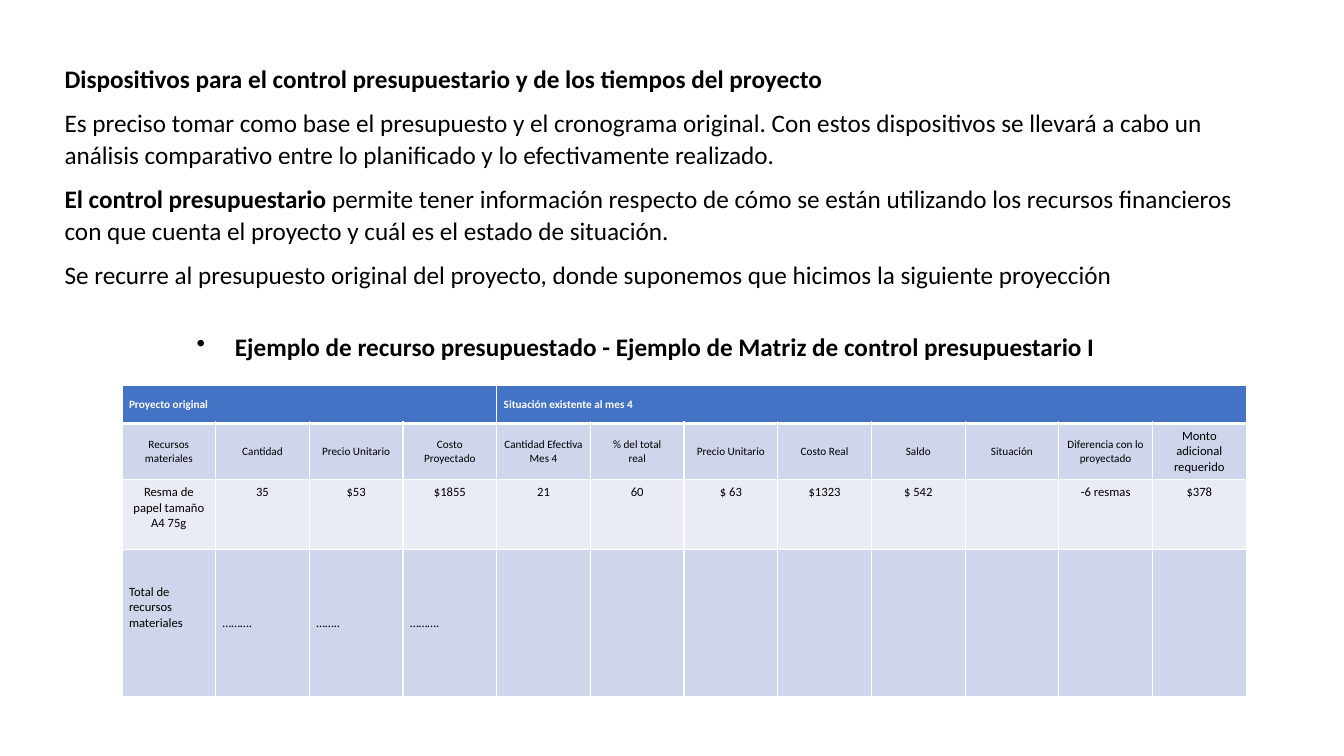
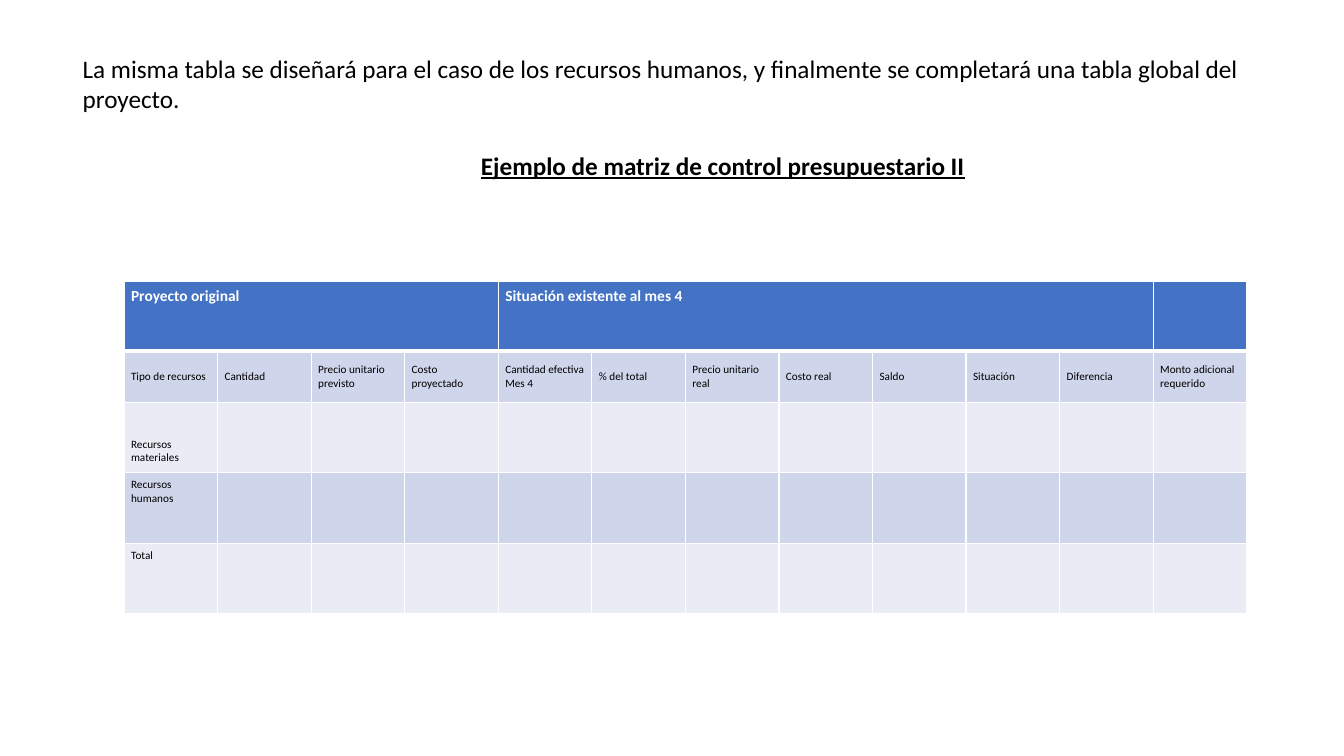
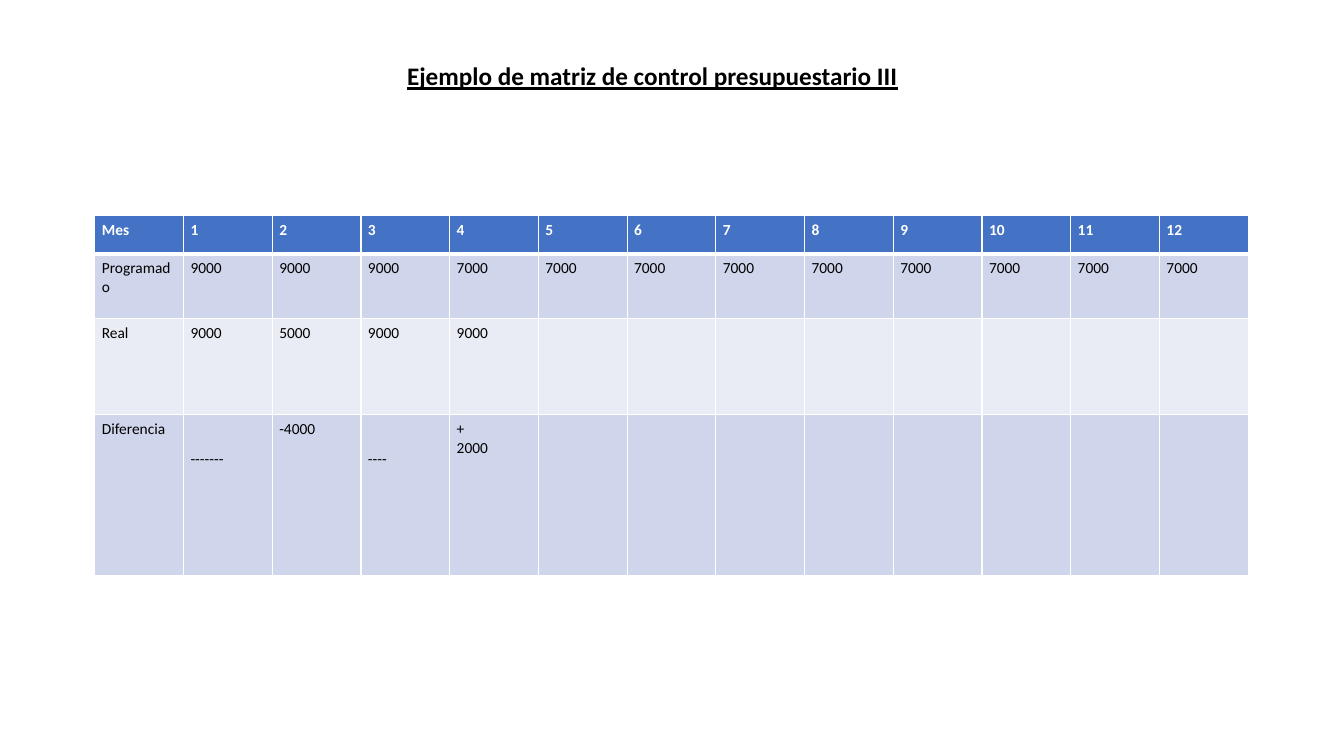
"""Build three slides on project budget control."""
import dataclasses

import pptx
import pptx.dml.color
import pptx.enum.text
import pptx.oxml.ns
import pptx.util
from lxml import etree

Inches = pptx.util.Inches
Pt = pptx.util.Pt
RGBColor = pptx.dml.color.RGBColor
PP_ALIGN = pptx.enum.text.PP_ALIGN
MSO_ANCHOR = pptx.enum.text.MSO_ANCHOR
qn = pptx.oxml.ns.qn

BLACK = RGBColor(0x00, 0x00, 0x00)
WHITE = RGBColor(0xFF, 0xFF, 0xFF)
BLUE = RGBColor(0x44, 0x72, 0xC4)
BAND = RGBColor(0xCF, 0xD5, 0xEA)
PALE = RGBColor(0xE9, 0xEB, 0xF5)

TITLE_AND_BODY, TITLE_ONLY = 1, 5


@dataclasses.dataclass
class Row:
    """One table row; dicts are keyed by column number."""
    height: float
    cells: dict
    size: float = 8
    align: PP_ALIGN = PP_ALIGN.LEFT
    anchor: MSO_ANCHOR = MSO_ANCHOR.TOP
    spans: dict = dataclasses.field(default_factory=dict)
    gaps: dict = dataclasses.field(default_factory=dict)
    sizes: dict = dataclasses.field(default_factory=dict)


def by_column(*texts):
    """Number texts from the first column on."""
    return dict(enumerate(texts))


class Deck:
    """Holds the shared style and the current slide."""
    font = "Calibri"
    text_size = 18
    line_spacing = 1.07

    def __init__(self):
        """Start a widescreen presentation."""
        self.prs = pptx.Presentation()
        self.prs.slide_width = Inches(13.33)
        self.prs.slide_height = Inches(7.5)
        self.slide = None

    def add_slide(self, layout):
        """Add a slide and make it current."""
        self.slide = self.prs.slides.add_slide(self.prs.slide_layouts[layout])

    def style(self, p, size, color=BLACK, bold=None):
        """Set the font of a paragraph."""
        p.font.name = self.font
        p.font.size = Pt(size)
        p.font.color.rgb = color
        p.font.bold = bold

    def place(self, sp, left, top, width, height):
        """Position a placeholder and return its text frame."""
        sp.left, sp.top = Inches(left), Inches(top)
        sp.width, sp.height = Inches(width), Inches(height)
        tf = sp.text_frame
        tf.word_wrap = True
        tf.auto_size = pptx.enum.text.MSO_AUTO_SIZE.NONE
        tf.vertical_anchor = MSO_ANCHOR.TOP
        return tf

    def title(self, text, left, top, width, bulleted=False):
        """Write the centred title, underlined or bulleted."""
        tf = self.place(self.slide.shapes.title, left, top, width, 0.41)
        tf.text = text
        p = tf.paragraphs[0]
        p.alignment = PP_ALIGN.CENTER
        p.line_spacing = self.line_spacing
        self.style(p, self.text_size, bold=True)
        p.font.underline = not bulleted
        if bulleted:
            pPr = p._p.get_or_add_pPr()
            pPr.set("marL", str(Inches(0.38)))
            pPr.set("indent", str(-Inches(0.38)))
            bullet = etree.Element(qn("a:buChar"), char="•")
            pPr.find(qn("a:defRPr")).addprevious(bullet)

    def body(self, paragraphs, left, top, width, height, line_spacing=1.0):
        """Write plain paragraphs, each a list of (text, bold) runs."""
        tf = self.place(self.slide.placeholders[1], left, top, width, height)
        for i, runs in enumerate(paragraphs):
            p = tf.add_paragraph() if i else tf.paragraphs[0]
            p.line_spacing = line_spacing
            p.space_before, p.space_after = Pt(0), Pt(8)
            self.style(p, self.text_size)
            for text, bold in runs:
                r = p.add_run()
                r.text = text
                r.font.bold = bold
            pPr = p._p.get_or_add_pPr()
            pPr.set("marL", "0")
            pPr.set("indent", "0")
            pPr.find(qn("a:defRPr")).addprevious(etree.Element(qn("a:buNone")))

    def border(self, cell, side, width):
        """Draw one white edge of a cell."""
        tcPr = cell._tc.get_or_add_tcPr()
        ln = etree.SubElement(tcPr, qn("a:ln" + side), w=str(Pt(width)))
        fill = etree.SubElement(ln, qn("a:solidFill"))
        etree.SubElement(fill, qn("a:srgbClr"), val=str(WHITE))

    def cell(self, cell, row, i, c):
        """Fill in one cell of row number i."""
        if not cell.is_spanned:
            for side in "LRTB":
                thick = (i, side) in ((0, "B"), (1, "T"))
                self.border(cell, side, 3 if thick else 1)
        cell.fill.solid()
        cell.fill.fore_color.rgb = (BAND if i % 2 else PALE) if i else BLUE
        cell.margin_left = cell.margin_right = Inches(0.07)
        cell.margin_top = Inches(row.gaps.get(c, 0.05))
        cell.margin_bottom = Inches(0.05)
        cell.vertical_anchor = row.anchor
        cell.text = row.cells.get(c, "")
        for p in cell.text_frame.paragraphs:
            p.alignment = row.align
            self.style(p, row.sizes.get(c, row.size),
                       BLACK if i else WHITE, bold=not i)

    def table(self, left, top, width, columns, rows):
        """Add a table with equal columns and banded rows."""
        height = sum(row.height for row in rows)
        table = self.slide.shapes.add_table(
            len(rows), columns, Inches(left), Inches(top),
            Inches(width), Inches(height)).table
        for column in table.columns:
            column.width = Inches(width / columns)
        for i, row in enumerate(rows):
            table.rows[i].height = Inches(row.height)
            for c, span in row.spans.items():
                table.cell(i, c).merge(table.cell(i, c + span - 1))
            for c in range(columns):
                self.cell(table.cell(i, c), row, i, c)


def resource_slide(deck):
    """Control devices and the first matrix."""
    deck.add_slide(TITLE_AND_BODY)
    deck.title("Ejemplo de recurso presupuestado - Ejemplo de Matriz de "
               "control presupuestario I", 0.7, 3.22, 11.41, bulleted=True)
    deck.body([
        [("Dispositivos para el control presupuestario y de los tiempos del "
          "proyecto", True)],
        [("Es preciso tomar como base el presupuesto y el cronograma original. "
          "Con estos dispositivos se llevará a cabo un análisis comparativo "
          "entre lo planificado y lo efectivamente realizado.", False)],
        [("El control presupuestario ", True),
         ("permite tener información respecto de cómo se están utilizando los "
          "recursos financieros con que cuenta el proyecto y cuál es el estado "
          "de situación.", False)],
        [("Se recurre al presupuesto original del proyecto, donde suponemos "
          "que hicimos la siguiente proyección", False)],
    ], 0.54, 0.56, 12.01, 2.36, deck.line_spacing)
    deck.table(1.21, 3.82, 11.15, 12, [
        Row(0.38, {0: "Proyecto original", 4: "Situación existente al mes 4"},
            anchor=MSO_ANCHOR.MIDDLE, spans={0: 4, 4: 8}),
        Row(0.56, by_column(
            "Recursos materiales", "Cantidad", "Precio Unitario",
            "Costo Proyectado", "Cantidad Efectiva\nMes 4",
            "% del total\nreal", "Precio Unitario", "Costo Real", "Saldo",
            "Situación", "Diferencia con lo proyectado",
            "Monto adicional requerido"),
            align=PP_ALIGN.CENTER, anchor=MSO_ANCHOR.MIDDLE, sizes={11: 9}),
        Row(0.69, by_column(
            "Resma de papel tamaño A4 75g", "35", "$53", "$1855", "21", "60",
            "$ 63", "$1323", "$ 542", "", "-6 resmas", "$378"),
            size=9, align=PP_ALIGN.CENTER),
        Row(1.46, by_column("Total de recursos\nmateriales",
                            "……….", "……..", "………."),
            size=9, gaps={0: 0.35, 1: 0.66, 2: 0.66, 3: 0.66}),
    ])


def global_slide(deck):
    """The second matrix, for the whole project."""
    deck.add_slide(TITLE_AND_BODY)
    deck.title("Ejemplo de matriz de control presupuestario II",
               1.72, 1.42, 10.9)
    deck.body([[("La misma tabla se diseñará para el caso de los recursos "
                 "humanos, y finalmente se completará una tabla global del "
                 "proyecto.", False)]], 0.72, 0.48, 11.9, 0.8)
    deck.table(1.23, 2.79, 11.14, 12, [
        Row(0.69, {0: "Proyecto original", 4: "Situación existente al mes 4"},
            size=11, spans={0: 4, 4: 7}),
        Row(0.51, by_column(
            "Tipo de recursos", "Cantidad", "Precio unitario\nprevisto",
            "Costo proyectado", "Cantidad efectiva\nMes 4", "% del total",
            "Precio unitario real", "Costo real", "Saldo", "Situación",
            "Diferencia", "Monto adicional requerido"),
            anchor=MSO_ANCHOR.MIDDLE),
        Row(0.7, {0: "Recursos materiales"}, gaps={0: 0.35}),
        Row(0.7, {0: "Recursos\nhumanos"}),
        Row(0.7, {0: "Total"}),
    ])


def monthly_slide(deck):
    """The third matrix, month by month."""
    deck.add_slide(TITLE_ONLY)
    deck.title("Ejemplo de matriz de control presupuestario III",
               3.47, 0.53, 6)
    months = [str(month) for month in range(1, 13)]
    planned = ["9000"] * 3 + ["7000"] * 9
    deck.table(0.94, 2.14, 11.44, 13, [
        Row(0.38, by_column("Mes", *months), size=11),
        Row(0.64, by_column("Programado", *planned), size=11),
        Row(0.95, by_column("Real", "9000", "5000", "9000", "9000"), size=11),
        Row(1.6, by_column("Diferencia", "-------", "-4000", "----",
                           "+\n2000"), size=11, gaps={1: 0.35, 3: 0.35}),
    ])


deck = Deck()
resource_slide(deck)
global_slide(deck)
monthly_slide(deck)
deck.prs.save("out.pptx")
